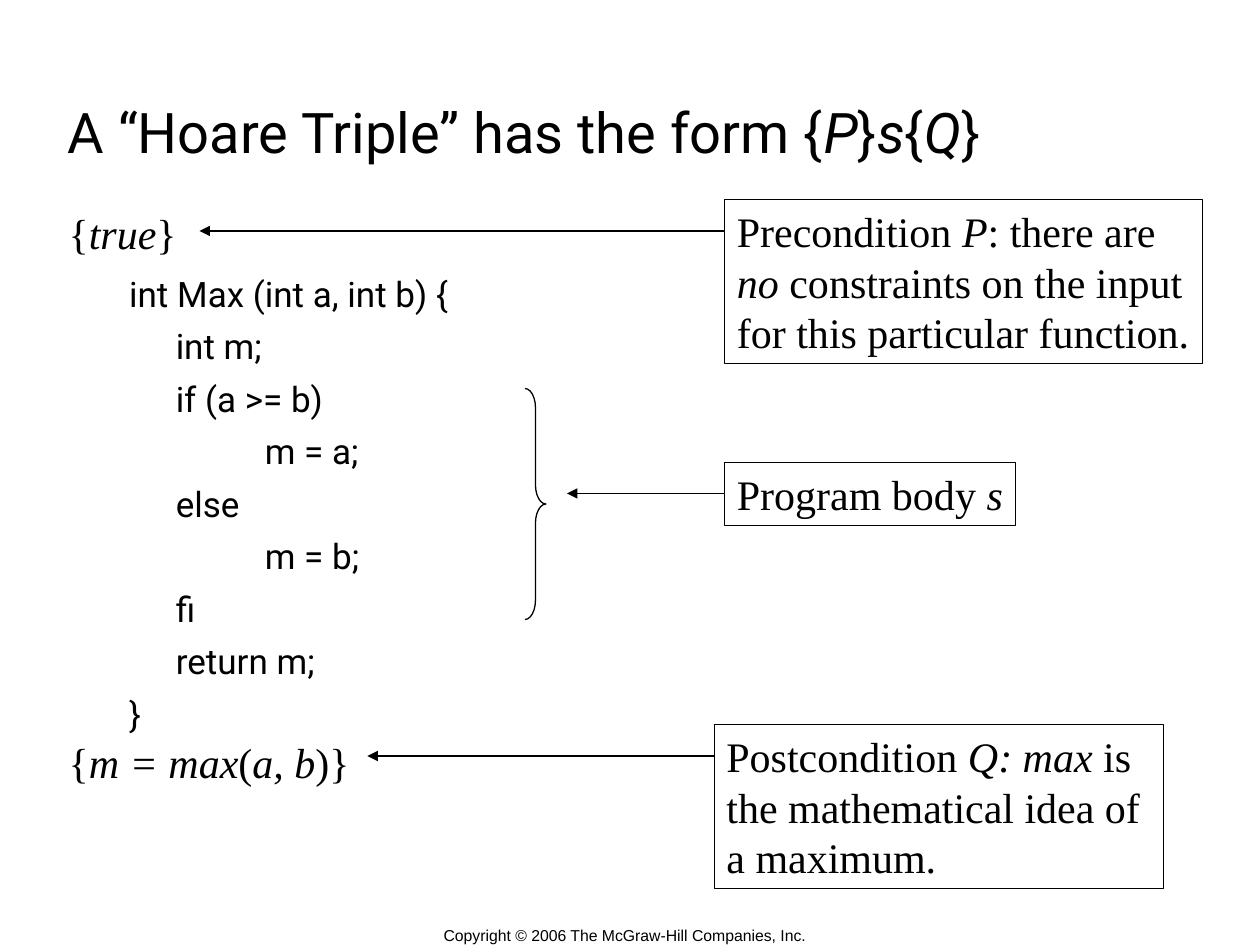
from pptx import Presentation
from pptx.dml.color import RGBColor
from pptx.enum.shapes import MSO_CONNECTOR, MSO_SHAPE
from pptx.enum.text import MSO_ANCHOR, MSO_AUTO_SIZE, PP_ALIGN
from pptx.oxml.ns import qn
from pptx.util import Inches, Pt
from lxml.etree import SubElement

COLORS = {"ink": "000000", "paper": "FFFFFF"}
COLS, ROWS = 120, 90
SERIF, SANS, FOOT = "Times New Roman", "Roboto", "Arial"
CONDITION = {"size": 24, "font": SERIF, "margin": 0.48, "indent": -0.45,
             "format": {"line_spacing": Pt(24), "space_after": Pt(8)}}
CODE = {"size": 20, "font": SANS, "margin": 0.88, "indent": -0.37,
        "tabs": (0, 1, 1.5, 2, 2.5, 3, 3.5, 4),
        "format": {"level": 1, "line_spacing": Pt(24), "space_after": Pt(6)}}
NOTE = {"size": 24, "font": SERIF}
TITLE = {"size": 32, "font": SANS, "margin": 0.02,
         "format": {"alignment": PP_ALIGN.LEFT}}
FOOTER = {"size": 9, "font": FOOT,
          "format": {"alignment": PP_ALIGN.CENTER, "line_spacing": Pt(10.6)}}

PROGRAM = ["int Max (int a, int b) {", "\tint m;", "\tif (a >= b)", "\t\t   m = a;",
           "\telse", "\t\t   m = b;", "\tfi", "\treturn m;", "}"]


class Deck:
    """Holds the style and the current slide; lengths are grid columns and rows."""

    def __init__(self):
        self.prs = Presentation()
        self.prs.slide_width, self.prs.slide_height = Inches(10), Inches(7.5)
        self.s = self.prs.slides.add_slide(self.prs.slide_layouts[5])
        self.s.background.fill.solid()
        self.s.background.fill.fore_color.rgb = self.color("paper")

    def color(self, name):
        return RGBColor.from_string(COLORS[name])

    def place(self, col, row, cols, rows):
        w, h = self.prs.slide_width / COLS, self.prs.slide_height / ROWS
        return [round(v) for v in (col * w, row * h, cols * w, rows * h)]

    def outline(self, sp, width):
        sp.line.color.rgb = self.color("ink")
        sp.line.width = Pt(width)

    def fill_frame(self, tf, lines, **frame):
        for name, value in frame.items():
            setattr(tf, name, value)
        for i, (text, style) in enumerate(lines):
            p = tf.add_paragraph() if i else tf.paragraphs[0]
            self.fill_paragraph(p, text, style)

    def fill_paragraph(self, p, text, style):
        pPr = p._p.get_or_add_pPr()
        pPr.set("marL", str(Inches(style.get("margin", 0))))
        pPr.set("indent", str(Inches(style.get("indent", 0))))
        if "tabs" in style:
            tabs = SubElement(pPr, qn("a:tabLst"))
            for pos in style["tabs"]:
                SubElement(tabs, qn("a:tab"), pos=str(Inches(pos)), algn="l")
        for name, value in style.get("format", {}).items():
            setattr(p, name, value)
        for i, part in enumerate(text.split("*")):
            if part:
                r = p.add_run()
                r.text = part
                font = {"size": Pt(style["size"]), "name": style["font"], "italic": i % 2 == 1}
                for name, value in font.items():
                    setattr(r.font, name, value)
                r.font.color.rgb = self.color("ink")

    def title(self, box, text):
        sp = self.s.shapes.title
        sp.left, sp.top, sp.width, sp.height = self.place(*box)
        self.fill_frame(sp.text_frame, [(text, TITLE)], word_wrap=True,
                        auto_size=MSO_AUTO_SIZE.NONE, vertical_anchor=MSO_ANCHOR.MIDDLE)

    def text(self, box, lines, **frame):
        sp = self.s.shapes.add_textbox(*self.place(*box))
        self.fill_frame(sp.text_frame, lines, **{"word_wrap": True, **frame})
        return sp

    def note(self, box, *lines):
        sp = self.text(box, [(line, NOTE) for line in lines], word_wrap=False,
                       auto_size=MSO_AUTO_SIZE.SHAPE_TO_FIT_TEXT)
        self.outline(sp, 0.25)
        return sp

    def brace(self, box):
        sp = self.s.shapes.add_shape(MSO_SHAPE.RIGHT_BRACE, *self.place(*box))
        sp.shadow.inherit = False
        sp.fill.background()
        sp.adjustments[0] = 0.92
        self.outline(sp, 0.75)

    def arrow(self, start, end, row, source=None):
        x1, y, x2, _ = self.place(start, row, end, 0)
        sp = self.s.shapes.add_connector(MSO_CONNECTOR.STRAIGHT, x1, y, x2, y)
        if source is not None:
            sp.begin_connect(source, 1)
        self.outline(sp, 0.75)
        spPr = sp._element.spPr
        SubElement(spPr.find(qn("a:ln")), qn("a:tailEnd"), type="triangle")
        SubElement(spPr, qn("a:effectLst"))


def main():
    deck = Deck()
    deck.text((0, 88.2, 119, 1.8),
              [("Copyright © 2006 The McGraw-Hill Companies, Inc.", FOOTER)],
              margin_left=0, margin_top=0, margin_right=0, margin_bottom=0)
    deck.title((5, 8, 104.3, 9), "A “Hoare Triple” has the form {*P*}*s*{*Q*}")
    deck.text((5, 20, 111, 64), [("{*true*}", CONDITION),
                                 *((line, CODE) for line in PROGRAM),
                                 ("{*m = max*(*a, b*)}", CONDITION)])
    deck.note((69, 19, 45.5, 15.6), "Precondition *P*: there are",
              "*no* constraints on the input", "for this particular function.")
    deck.note((68, 69, 42.8, 15.6), "Postcondition *Q: max *is",
              "the mathematical idea of", "a maximum.")
    body = deck.note((69, 44, 27.7, 6), "Program body *s*")
    deck.brace((50, 37, 2, 22))
    deck.arrow(68, 35, 72)
    deck.arrow(69, 19, 22)
    deck.arrow(69, 54, 47, body)
    deck.prs.save("out.pptx")


if __name__ == "__main__":
    main()
